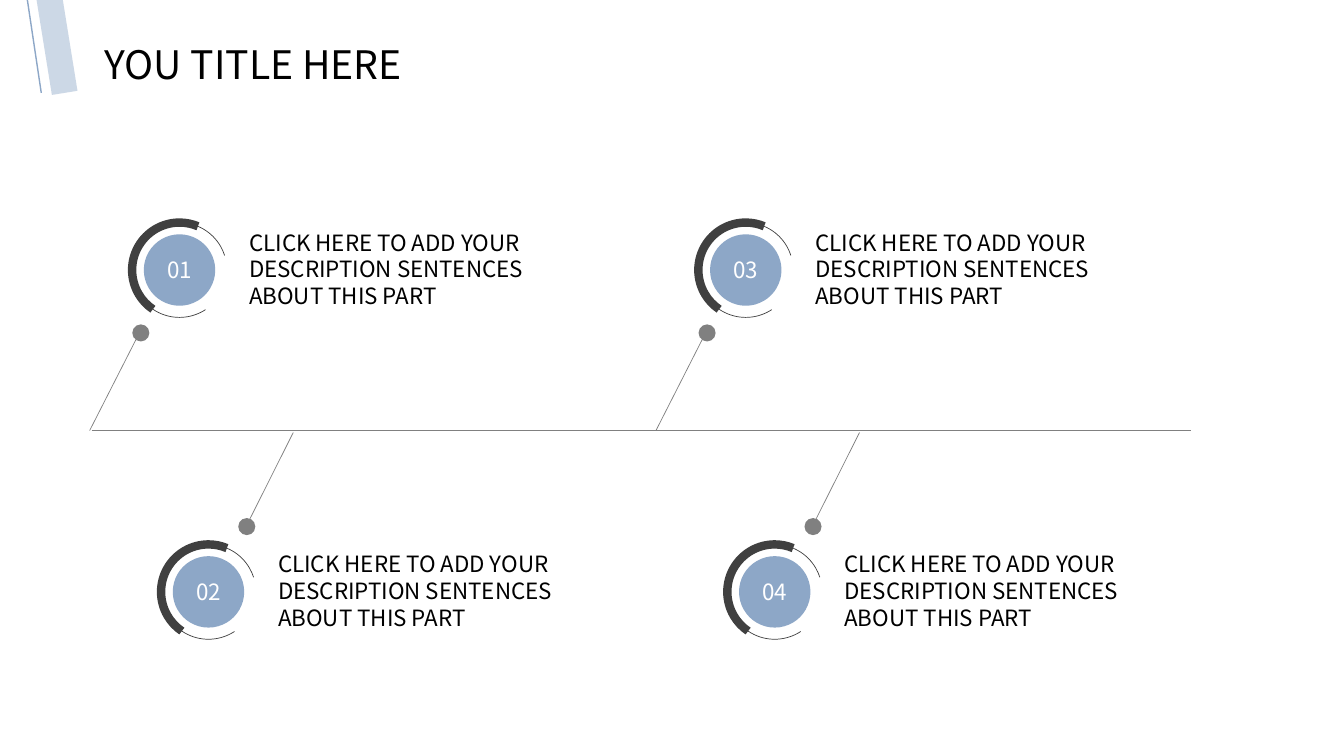
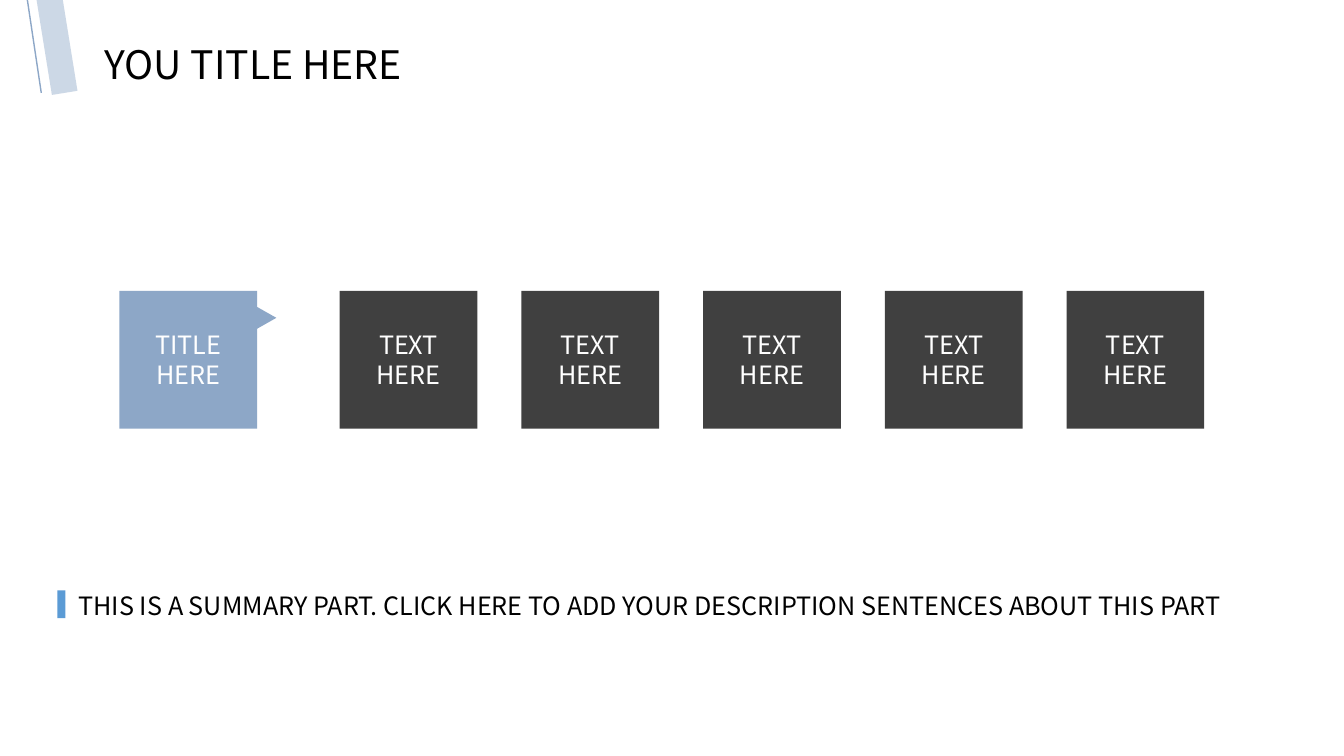
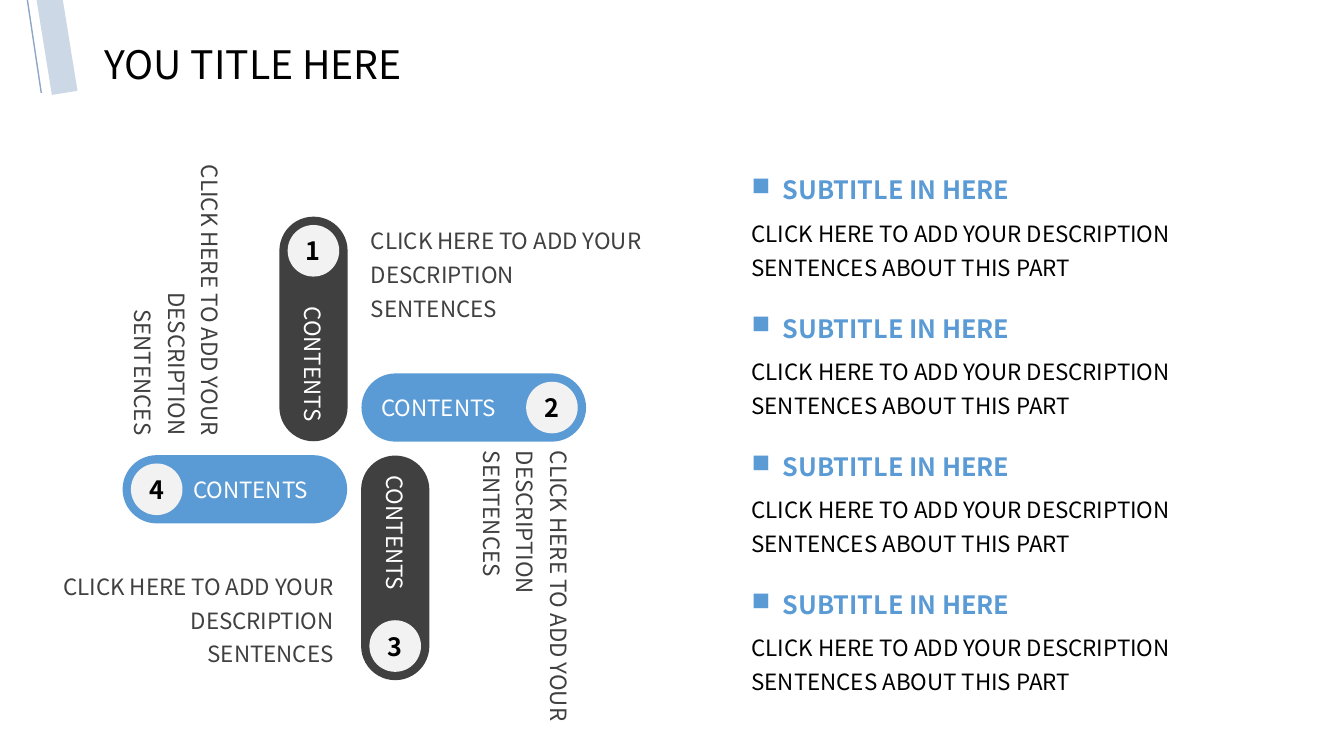
from lxml import etree
from pptx import Presentation
from pptx.dml.color import RGBColor
from pptx.enum.shapes import MSO_CONNECTOR, MSO_SHAPE
from pptx.enum.text import MSO_ANCHOR, PP_ALIGN
from pptx.oxml.ns import qn
from pptx.util import Cm, Pt

LEFT, CENTER, RIGHT = PP_ALIGN.LEFT, PP_ALIGN.CENTER, PP_ALIGN.RIGHT
TOP, MIDDLE = MSO_ANCHOR.TOP, MSO_ANCHOR.MIDDLE
OVAL, RECTANGLE, ARC = MSO_SHAPE.OVAL, MSO_SHAPE.RECTANGLE, MSO_SHAPE.ARC
PILL, TRIANGLE = MSO_SHAPE.ROUNDED_RECTANGLE, MSO_SHAPE.ISOSCELES_TRIANGLE

FONT = "Noto Sans CJK SC"
COLORS = {
    "steel": "8DA7C7",
    "blue": "5B9BD5",
    "dark": "404040",
    "gray": "808080",
    "pale": "F2F2F2",
    "black": "000000",
    "white": "FFFFFF",
}

# Content, with lengths in centimetres
TITLE = "YOU TITLE HERE"
DESCRIPTION = "CLICK HERE TO ADD YOUR DESCRIPTION SENTENCES ABOUT THIS PART"
NOTE = "CLICK HERE TO ADD YOUR DESCRIPTION SENTENCES"
SUMMARY = "THIS IS A SUMMARY PART. CLICK HERE TO ADD YOUR DESCRIPTION SENTENCES ABOUT THIS PART"

# (start, end, width in points, opacity in percent)
BANDS = [
    ((0.66, -0.2), (1.04, 2.34), 1, 100),
    ((1.22, -0.2), (1.63, 2.34), 18.5, 44),
]

AXIS = ((2.31, 10.85), (30.02, 10.85))
COLUMN_PITCH = 14.27
STEPS = [("01", "02"), ("03", "04")]
BRANCHES = [
    {"ring": (3.33, 5.61), "stem": ((2.26, 10.85), (3.45, 8.51)), "dot": (3.55, 8.39)},
    {"ring": (4.06, 13.72), "stem": ((7.39, 10.9), (6.22, 13.23)), "dot": (6.22, 13.27)},
]
# (start angle, end angle, width in points)
RING_ARCS = [(56.77, 342.15, 0.5), (124.15, 292.86, 6)]

TILES = [["TEXT", "HERE"]] * 5

HUB = (8.93, 11.3)
# (number, outward direction, colour, label alignment, extra left inset)
PILLS = [
    ("1", (0, -1), "dark", RIGHT, 0),
    ("2", (1, 0), "blue", LEFT, 0),
    ("3", (0, 1), "dark", LEFT, 0),
    ("4", (-1, 0), "blue", CENTER, 0.79),
]
# (centre, rotation, alignment)
NOTES = [
    ((12.79, 6.85), 0, LEFT),
    ((13.32, 14.8), 90, LEFT),
    ((4.97, 15.56), 0, RIGHT),
    ((4.53, 7.53), 90, RIGHT),
]
SUBTITLES = [("SUBTITLE IN HERE", DESCRIPTION)] * 4


def rgb(color):
    return RGBColor.from_string(COLORS[color])


def style(paragraph, size, color, align=LEFT, bold=False):
    paragraph.alignment = align
    font = paragraph.font
    font.name, font.size, font.bold = FONT, Pt(size), bold
    font.color.rgb = rgb(color)


def write(shape, lines, size, color, align=LEFT, anchor=TOP, bold=False, spacing=None):
    frame = shape.text_frame
    frame.word_wrap = True
    frame.vertical_anchor = anchor
    frame.text = "\n".join(lines)
    for paragraph in frame.paragraphs:
        if spacing:
            paragraph.line_spacing = spacing
        style(paragraph, size, color, align, bold)


def add_text(slide, box, lines, size, color, **options):
    shape = slide.shapes.add_textbox(*map(Cm, box))
    write(shape, lines, size, color, **options)
    return shape


def add_shape(slide, kind, box, fill=None, line=None, width=1):
    shape = slide.shapes.add_shape(kind, *map(Cm, box))
    shape.shadow.inherit = False
    if fill:
        shape.fill.solid()
        shape.fill.fore_color.rgb = rgb(fill)
    else:
        shape.fill.background()
    if line:
        shape.line.color.rgb = rgb(line)
        shape.line.width = Pt(width)
    else:
        shape.line.fill.background()
    return shape


def around(center, width, height):
    """Return the box of the given size about a centre."""
    return center[0] - width / 2, center[1] - height / 2, width, height


def add_badge(slide, center, diameter, fill, text, size, color, bold=False):
    badge = add_shape(slide, OVAL, around(center, diameter, diameter), fill)
    write(badge, [text], size, color, align=CENTER, anchor=MIDDLE, bold=bold)
    badge.text_frame.margin_left = badge.text_frame.margin_right = 0


def add_line(slide, start, end, color, width):
    line = slide.shapes.add_connector(MSO_CONNECTOR.STRAIGHT, *map(Cm, start + end))
    line.line.color.rgb = rgb(color)
    line.line.width = Pt(width)
    etree.SubElement(line.element.spPr, qn("a:effectLst"))
    return line


def add_bullet(paragraph, color, indent):
    properties = paragraph._p.get_or_add_pPr()
    properties.set("marL", str(Cm(indent)))
    properties.set("indent", str(-Cm(indent)))
    bullet_color = etree.SubElement(properties, qn("a:buClr"))
    etree.SubElement(bullet_color, qn("a:srgbClr"), val=COLORS[color])
    etree.SubElement(properties, qn("a:buChar"), char="■")


def move_bands_to_layout(slide):
    """Draw the corner bands and hand them to the layout all slides use."""
    for start, end, width, opacity in BANDS:
        band = add_line(slide, start, end, "steel", width)
        if opacity < 100:
            color = next(band.element.iter(qn("a:srgbClr")))
            etree.SubElement(color, qn("a:alpha"), val=str(opacity * 1000))
        slide.slide_layout.shapes.element.append(band.element)


def add_title(slide):
    add_text(slide, (2.39, 0.89, 12.32, 1.45), [TITLE], 28, "black", anchor=MIDDLE)


def build_timeline(slide):
    ring_size = 2.39
    add_line(slide, *AXIS, "gray", 0.5)
    for column, numbers in enumerate(STEPS):
        shift = column * COLUMN_PITCH
        for number, branch in zip(numbers, BRANCHES):
            start, end = [(x + shift, y) for x, y in branch["stem"]]
            add_line(slide, start, end, "gray", 0.5)
            dot_x, dot_y = branch["dot"]
            add_shape(slide, OVAL, around((dot_x + shift, dot_y), 0.43, 0.43), "gray")

            left, top = branch["ring"][0] + shift, branch["ring"][1]
            center = (left + ring_size / 2, top + ring_size / 2)
            add_badge(slide, center, 1.8, "steel", number, 16, "white")
            for first, last, width in RING_ARCS:
                arc = add_shape(slide, ARC, (left, top, ring_size, ring_size),
                                line="dark", width=width)
                # One adjustment unit is 100000 / 60000 degrees
                arc.adjustments[0], arc.adjustments[1] = first * 0.6, last * 0.6
            add_text(slide, (left + 2.7, top + 0.03, 8.18, 2.31), [DESCRIPTION], 16, "black")


def build_tiles(slide):
    side, top, first_left, pitch = 3.47, 7.33, 8.56, 4.58
    tiles = [(3.01, "steel", ["TITLE", "HERE"])]
    tiles += [(first_left + i * pitch, "dark", lines) for i, lines in enumerate(TILES)]
    for left, fill, lines in tiles:
        tile = add_shape(slide, RECTANGLE, (left, top, side, side), fill)
        write(tile, lines, 18, "white", align=CENTER, anchor=MIDDLE)
    pointer = add_shape(slide, TRIANGLE, around((6.62, 8.01), 0.78, 0.69), "steel")
    pointer.rotation = 90

    add_text(slide, (1.73, 14.76, 31.24, 1.02), [SUMMARY], 18, "black")
    add_shape(slide, RECTANGLE, (1.45, 14.88, 0.2, 0.7), "blue")


def build_pinwheel(slide):
    along, across, badge_offset = 3.01, 1.03, 1.97
    for number, (dx, dy), fill, align, inset in PILLS:
        x = HUB[0] + along * dx + across * dy
        y = HUB[1] + along * dy - across * dx
        pill = add_shape(slide, PILL, around((x, y), 5.66, 1.72), fill)
        pill.adjustments[0] = 0.5
        pill.rotation = 0 if dx else 90
        write(pill, ["CONTENTS"], 16, "white", align=align, anchor=MIDDLE)
        pill.text_frame.margin_left += Cm(inset)
        badge_center = (x + badge_offset * dx, y + badge_offset * dy)
        add_badge(slide, badge_center, 1.3, "pale", number, 18, "black", bold=True)

    for center, rotation, align in NOTES:
        note = add_text(slide, around(center, 7.38, 2.82), [NOTE], 16, "dark",
                        align=align, spacing=1.25)
        note.rotation = rotation


def build_subtitles(slide):
    for row, lines in enumerate(SUBTITLES):
        box = slide.shapes.add_textbox(Cm(18.69), Cm(4.09 + row * 3.48), Cm(12.93), Cm(3.15))
        frame = box.text_frame
        frame.word_wrap = True
        frame.text = "\n".join(lines)
        subtitle, description = frame.paragraphs
        subtitle.line_spacing = description.line_spacing = 1.25
        description.space_before = Pt(6)
        add_bullet(subtitle, "blue", 0.79)
        style(subtitle, 18, "blue", bold=True)
        style(description, 16, "black")


def build_contents(slide):
    build_pinwheel(slide)
    build_subtitles(slide)


def main():
    presentation = Presentation()
    presentation.slide_width, presentation.slide_height = Cm(33.87), Cm(19.05)
    blank = presentation.slide_layouts[6]
    for index, build in enumerate([build_timeline, build_tiles, build_contents]):
        slide = presentation.slides.add_slide(blank)
        if index == 0:
            move_bands_to_layout(slide)
        build(slide)
        add_title(slide)
    presentation.save("out.pptx")


if __name__ == "__main__":
    main()
